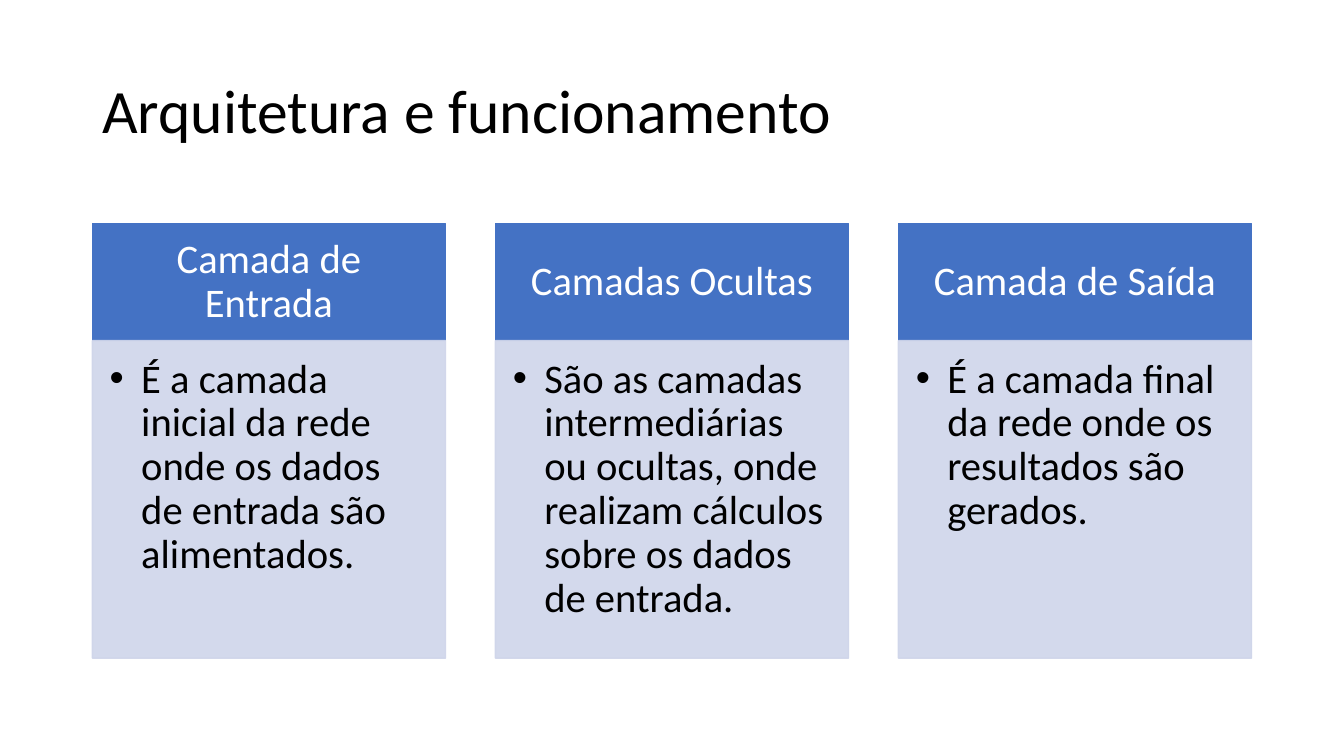
from lxml import etree
from pptx import Presentation
from pptx.dml.color import RGBColor
from pptx.enum.shapes import MSO_SHAPE
from pptx.enum.text import MSO_ANCHOR, PP_ALIGN
from pptx.oxml.ns import qn
from pptx.util import Pt

RECT = MSO_SHAPE.RECTANGLE
TOP, MIDDLE = MSO_ANCHOR.TOP, MSO_ANCHOR.MIDDLE
LEFT, CENTER = PP_ALIGN.LEFT, PP_ALIGN.CENTER

BLUE, PALE, WHITE, BLACK = "4472C4", "CFD5EA", "FFFFFF", "000000"
FONT = "Calibri"
HEAD = 83.5
GAP = 35.6
INDENT = 22.5

CARDS = [
    ("Camada de Entrada",
     "É a camada inicial da rede onde os dados de entrada são alimentados."),
    ("Camadas Ocultas",
     "São as camadas intermediárias ou ocultas, onde realizam cálculos "
     "sobre os dados de entrada."),
    ("Camada de Saída",
     "É a camada final da rede onde os resultados são gerados."),
]


def paint(fill, color, alpha=None):
    fill.solid()
    fill.fore_color.rgb = RGBColor.from_string(color)
    if alpha is not None:
        tone = fill._xPr.find(qn("a:solidFill"))[0]
        etree.SubElement(tone, qn("a:alpha")).set("val", str(alpha * 1000))


def write(shape, text, size=29, color=BLACK, align=LEFT, anchor=TOP,
          pads=(7.2, 3.6, 7.2, 3.6), bullet=False):
    frame = shape.text_frame
    frame.word_wrap = True
    frame.vertical_anchor = anchor
    (frame.margin_left, frame.margin_top,
     frame.margin_right, frame.margin_bottom) = map(Pt, pads)
    para = frame.paragraphs[0]
    para.alignment = align
    para.line_spacing = 0.9
    if bullet:
        props = para._p.get_or_add_pPr()
        props.set("marL", str(Pt(INDENT)))
        props.set("indent", str(-Pt(INDENT)))
        etree.SubElement(props, qn("a:buFont")).set("typeface", "Arial")
        etree.SubElement(props, qn("a:buChar")).set("char", "•")
    run = para.add_run()
    run.text = text
    run.font.name = FONT
    run.font.size = Pt(size)
    run.font.color.rgb = RGBColor.from_string(color)


def block(slide, box, color, alpha=None):
    shape = slide.shapes.add_shape(RECT, *map(Pt, box))
    shape.shadow.inherit = False
    paint(shape.fill, color, alpha)
    paint(shape.line.fill, color, alpha)
    shape.line.width = Pt(1)
    return shape


def title(slide, box, text):
    shape = slide.shapes.add_textbox(*map(Pt, box))
    write(shape, text, size=44, anchor=MIDDLE)


def card(slide, box, head, body):
    x, y, wide, high = box
    write(block(slide, (x, y, wide, HEAD), BLUE), head, color=WHITE,
          align=CENTER, anchor=MIDDLE, pads=(16.5, 9.4, 16.5, 9.4))
    write(block(slide, (x, y + HEAD, wide, high - HEAD), PALE, 90), body,
          pads=(12.4, 12.4, 16.5, 18), bullet=True)


def columns(slide, box, cards):
    x, y, wide, high = box
    width = (wide - GAP * (len(cards) - 1)) / len(cards)
    for i, (head, body) in enumerate(cards):
        card(slide, (x + i * (width + GAP), y, width, high), head, body)


def main():
    deck = Presentation()
    deck.slide_width, deck.slide_height = Pt(960), Pt(540)
    slide = deck.slides.add_slide(deck.slide_layouts[6])
    paint(slide.background.fill, WHITE)
    title(slide, (66, 28.75, 828, 104.4), "Arquitetura e funcionamento")
    columns(slide, (66, 159.8, 828, 310.3), CARDS)
    deck.save("out.pptx")


if __name__ == "__main__":
    main()
